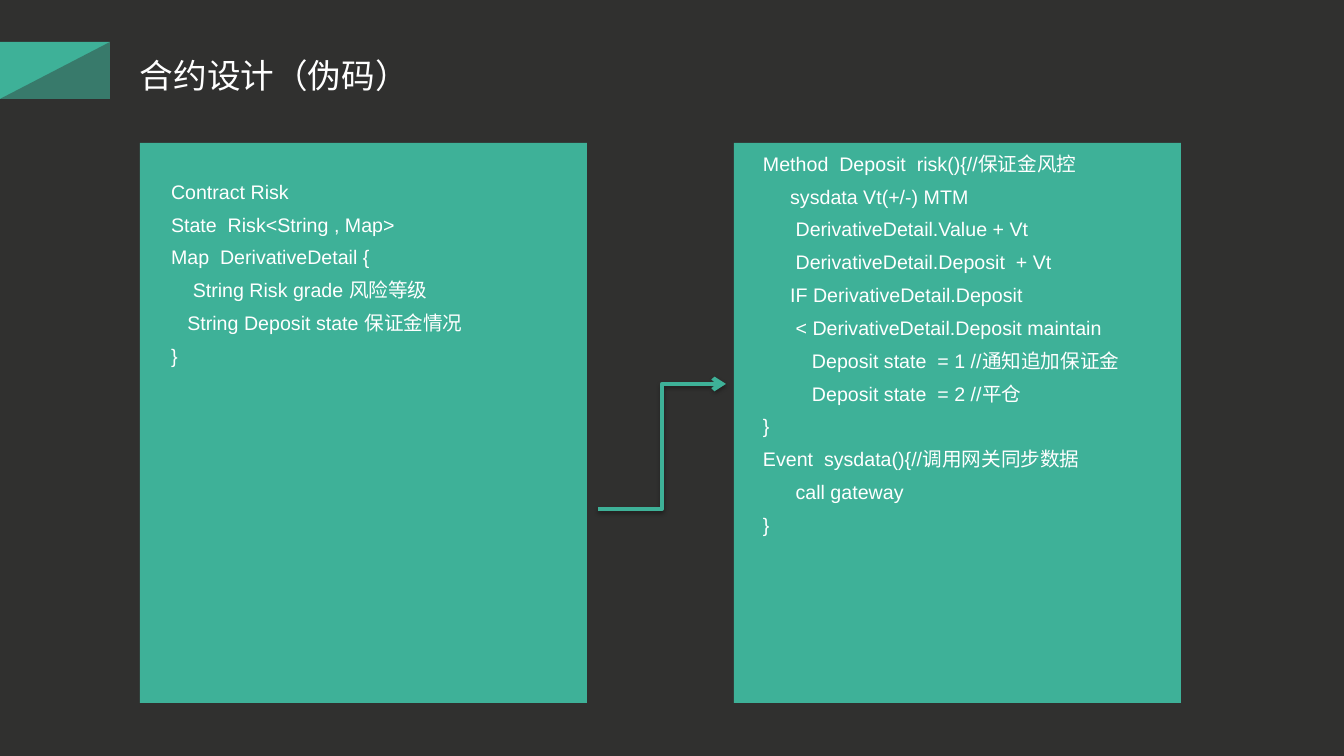
import pptx
import pptx.util
import pptx.dml.color
import pptx.enum.shapes
import pptx.enum.text
import pptx.oxml
import pptx.oxml.ns

SHAPE = pptx.enum.shapes.MSO_SHAPE
NS = pptx.oxml.ns.nsdecls("a")
GREEN, DARK, WHITE = "3EB198", "30302F", "FFFFFF"
LATIN, CJK = "Arial", "Noto Sans CJK SC"

CONTRACT = """Contract Risk
State  Risk<String , Map>
Map  DerivativeDetail {
    String Risk grade 风险等级
   String Deposit state 保证金情况
}"""

METHODS = """Method  Deposit  risk(){//保证金风控
     sysdata Vt(+/-) MTM
      DerivativeDetail.Value + Vt
      DerivativeDetail.Deposit  + Vt
     IF DerivativeDetail.Deposit
      < DerivativeDetail.Deposit maintain
         Deposit state  = 1 //通知追加保证金
         Deposit state  = 2 //平仓
}
Event  sysdata(){//调用网关同步数据
      call gateway
}"""


def px(n):
    return round(n * 914400 / 100.8)


def rgb(value):
    return pptx.dml.color.RGBColor.from_string(value)


def apply(target, formats):
    for name, value in formats.items():
        setattr(target, name, value)


class Deck:
    code_frame = dict(word_wrap=True, margin_left=0, margin_top=0,
                      margin_right=0, margin_bottom=0)
    title_frame = dict(word_wrap=False)

    def __init__(self, width, height):
        self.prs = pptx.Presentation()
        apply(self.prs, dict(slide_width=px(width), slide_height=px(height)))

    def slide(self, color):
        self.s = self.prs.slides.add_slide(self.prs.slide_layouts[6])
        fill = self.s.background.fill
        fill.solid()
        fill.fore_color.rgb = rgb(color)

    def shape(self, kind, box, color, parent=None, opacity=None, flip=False):
        shapes = (parent or self.s).shapes
        sp = shapes.add_shape(kind, *map(px, box))
        sp.shadow.inherit = False
        sp.fill.solid()
        sp.fill.fore_color.rgb = rgb(color)
        sp.line.fill.background()
        if opacity:
            clr = sp._element.spPr.find(".//" + pptx.oxml.ns.qn("a:srgbClr"))
            clr.append(pptx.oxml.parse_xml(f'<a:alpha {NS} val="{opacity * 1000}"/>'))
        if flip:
            sp._element.spPr.xfrm.set("flipH", "1")
        return sp

    def text(self, box, lines, size, font, frame, spacing=None):
        tf = self.s.shapes.add_textbox(*map(px, box)).text_frame
        apply(tf, frame)
        tf.auto_size = pptx.enum.text.MSO_AUTO_SIZE.SHAPE_TO_FIT_TEXT
        for i, line in enumerate(lines):
            p = tf.add_paragraph() if i else tf.paragraphs[0]
            if spacing:
                p.line_spacing = spacing
                p.space_before = pptx.util.Pt(3.3 if i else 0)
            r = p.add_run()
            r.text = line
            apply(r.font, dict(size=pptx.util.Pt(size), name=font))
            r.font.color.rgb = rgb(WHITE)
            r.font._element.find(pptx.oxml.ns.qn("a:latin")).addnext(
                pptx.oxml.parse_xml(f'<a:ea {NS} typeface="{CJK}"/>'))

    def panel(self, box, text_box, code):
        self.shape(SHAPE.RECTANGLE, box, GREEN)
        self.text(text_box, code.split("\n"), 14, LATIN, self.code_frame, 1.2)

    def elbow(self, start, end, color, width):
        kind = pptx.enum.shapes.MSO_CONNECTOR.ELBOW
        sp = self.s.shapes.add_connector(kind, *map(px, start + end))
        sp.line.color.rgb = rgb(color)
        sp.line.width = pptx.util.Pt(width)
        sp.line._get_or_add_ln().append(
            pptx.oxml.parse_xml(f'<a:tailEnd {NS} type="arrow"/>'))
        sp._element.spPr.append(pptx.oxml.parse_xml(
            f'<a:effectLst {NS}><a:outerShdw blurRad="40000" dist="23000" '
            'dir="5400000" rotWithShape="0"><a:srgbClr val="000000">'
            '<a:alpha val="35000"/></a:srgbClr></a:outerShdw></a:effectLst>'))


def main():
    deck = Deck(1344, 756)
    deck.slide(DARK)
    flag = deck.s.shapes.add_group_shape()
    flag_box = (0, 42, 110, 57)
    deck.shape(SHAPE.RECTANGLE, flag_box, GREEN, flag)
    deck.shape(SHAPE.RIGHT_TRIANGLE, flag_box, DARK, flag, opacity=42, flip=True)
    deck.text((130, 50, 291, 50), ["合约设计（伪码）"], 24, CJK, deck.title_frame)
    deck.panel((140, 143, 447, 560), (171, 175, 396, 194), CONTRACT)
    deck.panel((734, 143, 447, 560), (763, 147, 396, 393), METHODS)
    deck.elbow((598, 509), (726, 384), GREEN, 3)
    deck.prs.save("out.pptx")


if __name__ == "__main__":
    main()
